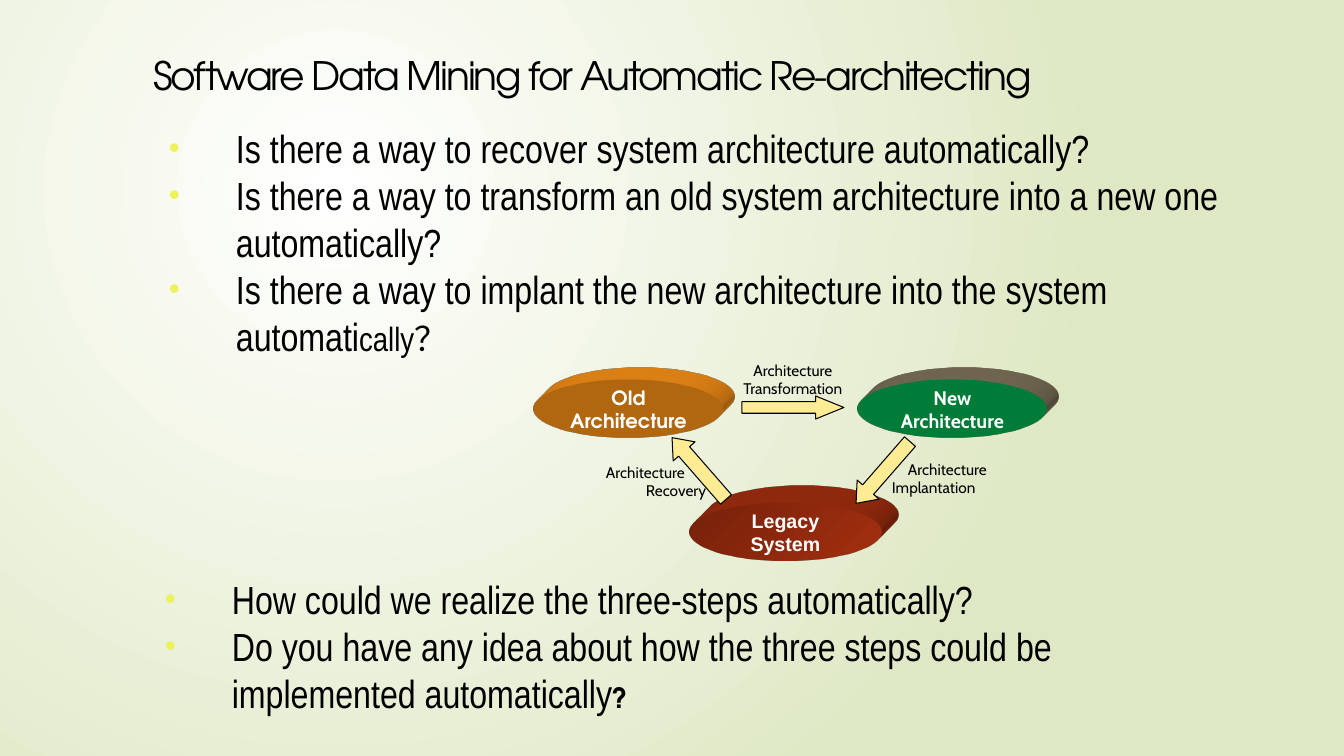
import lxml.etree
import pptx
import pptx.dml.color
import pptx.enum.shapes
import pptx.enum.text
import pptx.oxml.ns
import pptx.util

PX = 914400 / 100.8
ALIGN = pptx.enum.text.PP_ALIGN
ANCHOR = pptx.enum.text.MSO_ANCHOR
SHAPE = pptx.enum.shapes.MSO_SHAPE
qn = pptx.oxml.ns.qn


def px(n):
    return pptx.util.Emu(round(n * PX))


def rgb(color):
    return pptx.dml.color.RGBColor.from_string(color)


def child(parent, tag, **attributes):
    return lxml.etree.SubElement(parent, qn(tag), **attributes)


def paint(fill, color):
    if isinstance(color, str):
        fill.solid()
        fill.fore_color.rgb = rgb(color)
        return
    fill.gradient()
    fill.gradient_angle = 315
    for stop, c in zip(fill.gradient_stops, color):
        stop.color.rgb = rgb(c)


def extrude(sp, depth, color):
    spPr = sp.element.spPr
    scene = child(spPr, "a:scene3d")
    child(scene, "a:camera", prst="legacyObliqueTopRight")
    child(scene, "a:lightRig", rig="legacyFlat3", dir="r")
    solid = child(spPr, "a:sp3d", extrusionH=str(px(depth)), prstMaterial="legacyMatte")
    for side in ("a:bevelT", "a:bevelB"):
        child(solid, side, w="13500", h="13500", prst="angle")
    child(child(solid, "a:extrusionClr"), "a:srgbClr", val=color)


def add_text(p, text, font="Arial Narrow", size=28, color="000000", bold=False, spacing=0):
    r = p.add_run()
    r.text = text
    r.font.name = font
    r.font.size = pptx.util.Pt(size)
    r.font.bold = bold
    r.font.color.rgb = rgb(color)
    if spacing:
        r.font._element.set("spc", str(round(spacing * 100)))


class Deck:
    """Holds the style and the current slide, and draws each kind of element."""

    heading_font = "TeX Gyre Adventor"
    label_font = "Cabin"
    bullet_color = "EBF25A"
    arrow_color = "FEEC94"

    def __init__(self):
        self.prs = pptx.Presentation()
        self.prs.slide_width, self.prs.slide_height = px(1344), px(756)
        self.s = self.prs.slides.add_slide(self.prs.slide_layouts[5])

    def background(self, inner, outer):
        paint(self.s.background.fill, (inner, outer))
        lin = next(self.s.element.iter(qn("a:lin")))
        grad = lin.getparent()
        grad.remove(lin)
        circle = child(grad, "a:path", path="circle")
        child(circle, "a:fillToRect", l="50000", t="50000", r="100000", b="100000")

    def title(self, text, x, y, w, h):
        sp = self.s.shapes.title
        sp.left, sp.top, sp.width, sp.height = px(x), px(y), px(w), px(h)
        tf = sp.text_frame
        tf.auto_size = pptx.enum.text.MSO_AUTO_SIZE.NONE
        tf.vertical_anchor = ANCHOR.TOP
        p = tf.paragraphs[0]
        p.alignment = ALIGN.LEFT
        add_text(p, text, font=self.heading_font, spacing=-1.5)

    def paragraphs(self, tf, count):
        return [tf.paragraphs[0]] + [tf.add_paragraph() for _ in range(count - 1)]

    def bullets(self, items, x, y, w, h):
        tf = self.s.shapes.add_textbox(px(x), px(y), px(w), px(h)).text_frame
        tf.word_wrap = True
        for p, runs in zip(self.paragraphs(tf, len(items)), items):
            pPr = p._p.get_or_add_pPr()
            pPr.set("marL", str(px(67)))
            pPr.set("indent", str(-px(67)))
            child(child(pPr, "a:buClr"), "a:srgbClr", val=self.bullet_color)
            child(pPr, "a:buSzPct", val="80000")
            child(pPr, "a:buFont", typeface="Arial")
            child(pPr, "a:buChar", char="•")
            for text, style in runs:
                add_text(p, text, **style)

    def lines(self, tf, texts, align, indents=(0, 0), **style):
        tf.margin_left = tf.margin_right = tf.margin_top = tf.margin_bottom = 0
        tf.word_wrap = False
        tf.vertical_anchor = ANCHOR.MIDDLE
        for p, text, indent in zip(self.paragraphs(tf, len(texts)), texts, indents):
            p.alignment = align
            if indent:
                p._p.get_or_add_pPr().set("marL", str(px(indent)))
            add_text(p, text, **style)

    def label(self, texts, x, y, w, h, align=ALIGN.LEFT, indents=(0, 0)):
        sp = self.s.shapes.add_textbox(px(x), px(y), px(w), px(h))
        self.lines(sp.text_frame, texts, align, indents, font=self.label_font, size=11)

    def disc(self, texts, x, y, w, h, depth, face, side, font):
        sp = self.s.shapes.add_shape(SHAPE.OVAL, px(x), px(y), px(w), px(h))
        sp.shadow.inherit = False
        paint(sp.fill, face)
        sp.line.fill.background()
        extrude(sp, depth, side)
        self.lines(sp.text_frame, texts, ALIGN.CENTER,
                   font=font, size=14, color="FFFFFF", bold=True)

    def arrow(self, x, y, w, h, head, rotation=0):
        sp = self.s.shapes.add_shape(SHAPE.RIGHT_ARROW, px(x), px(y), px(w), px(h))
        sp.shadow.inherit = False
        sp.adjustments[0], sp.adjustments[1] = 0.5, head
        sp.rotation = rotation
        paint(sp.fill, self.arrow_color)
        sp.line.color.rgb = rgb("000000")
        sp.line.width = pptx.util.Pt(0.75)


def main():
    d = Deck()
    d.background("FFFFFF", "DFE8C4")
    d.title("Software Data Mining for Automatic Re-architecting", 143, 46, 1072, 73)
    d.bullets([
        [("Is there a way to recover system architecture automatically?", {})],
        [("Is there a way to transform an old system architecture into a new one "
          "automatically?", {})],
        [("Is there a way to implant the new architecture into the system automati", {}),
         ("cally？", {"size": 24})],
    ], 159, 119, 1122, 416)

    d.disc(["Legacy", "System"], 689, 503, 193, 58, 48,
           ("76220B", "A53010"), "A53010", "Arial")
    d.disc(["Old", "Architecture"], 534, 380, 189, 58, 34,
           "FB9318", "FB9318", d.heading_font)
    d.disc(["New", "Architecture"], 858, 380, 189, 58, 34,
           "00B050", "80755C", d.label_font)

    d.arrow(742, 396, 102, 23, 1.23)
    d.arrow(658, 454, 82, 29, 0.63, rotation=228.9)
    d.arrow(842, 458, 82, 29, 0.63, rotation=131.1)

    d.label(["Architecture", "Transformation"], 742, 364, 102, 31, align=ALIGN.CENTER)
    d.label(["Architecture", "Implantation"], 892, 467, 102, 23, indents=(16, 0))
    d.label(["Architecture", "Recovery"], 606, 470, 102, 23, indents=(0, 40))

    d.bullets([
        [("How could we realize the three-steps automatically?", {})],
        [("Do you have any idea about how the three steps could be implemented "
          "automatically", {}),
         ("?", {"font": d.heading_font, "size": 20, "bold": True})],
    ], 155, 570, 1088, 152)
    d.prs.save("out.pptx")


if __name__ == "__main__":
    main()
